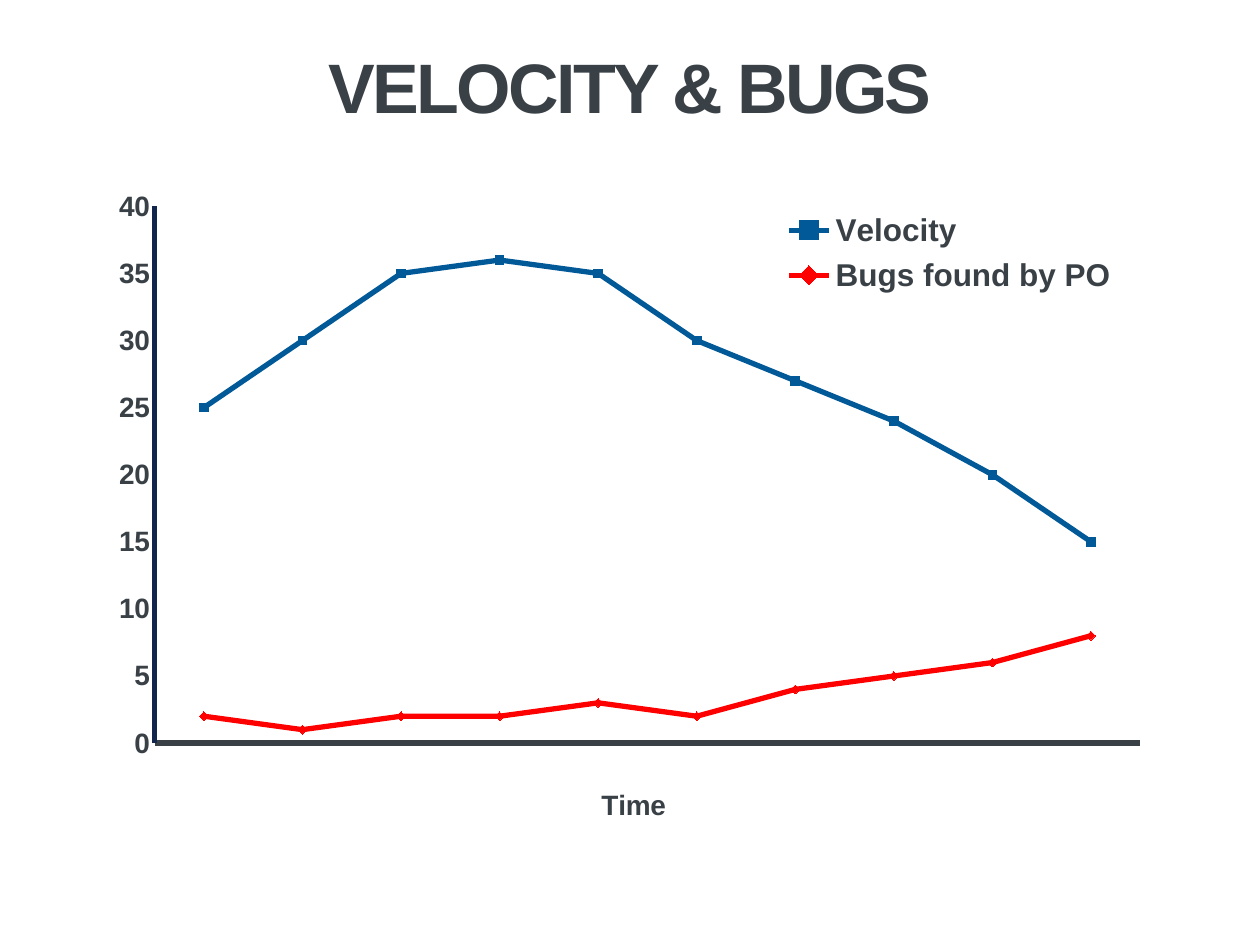
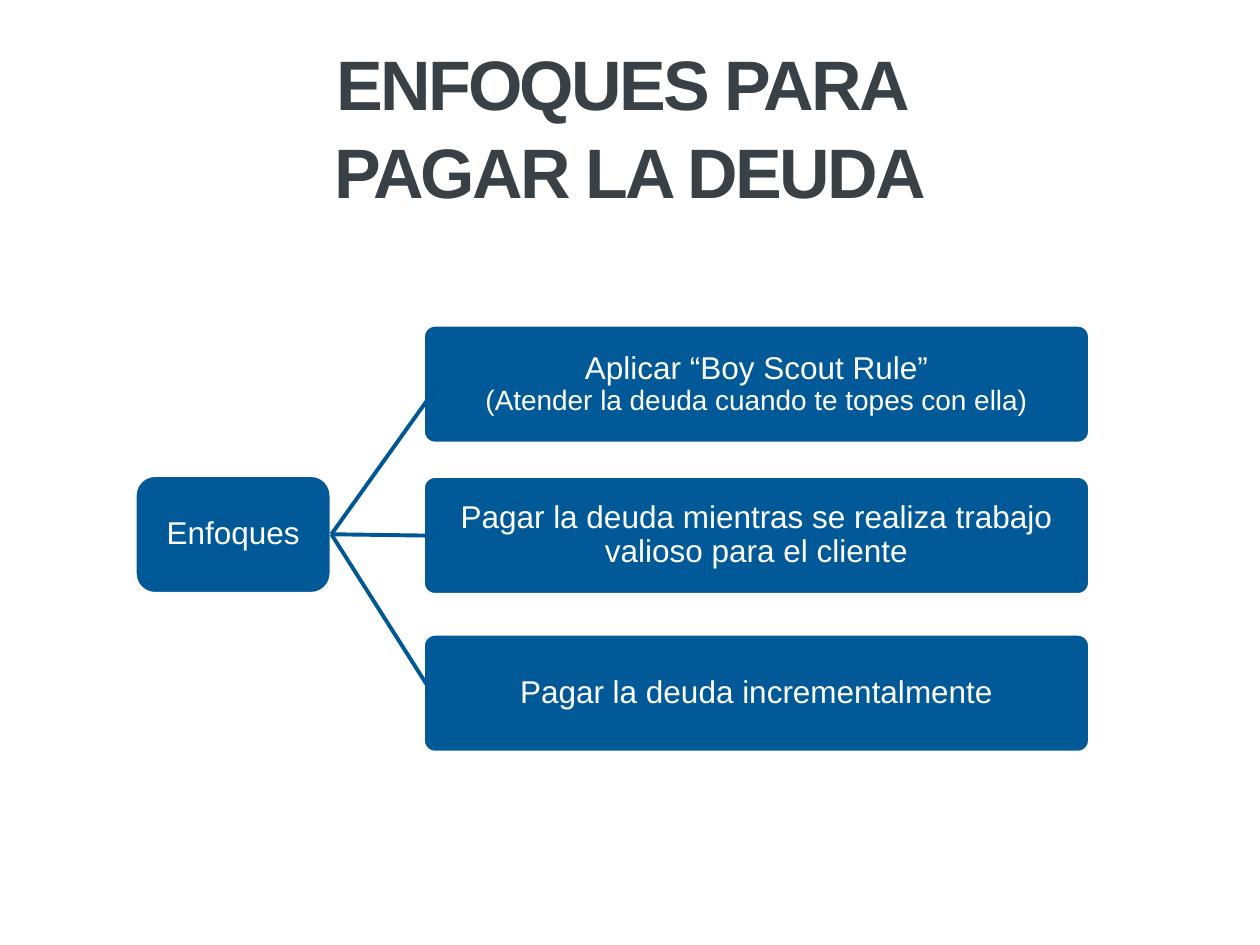
import pptx
import pptx.chart.data
import pptx.dml.color
import pptx.enum.chart
import pptx.enum.shapes
import pptx.enum.text
import pptx.oxml
import pptx.oxml.ns
import pptx.util
from lxml import etree

Cm = pptx.util.Cm
Pt = pptx.util.Pt
qn = pptx.oxml.ns.qn

COLORS = {
    "ink": "394147",
    "blue": "015998",
    "branch": "005796",
    "navy": "12254C",
    "red": "FF0000",
    "white": "FFFFFF",
}
FONT = "Arial"


def rgb(name):
    return pptx.dml.color.RGBColor.from_string(COLORS[name])


class Deck:
    def __init__(self):
        self.presentation = pptx.Presentation()
        self.presentation.slide_width = Cm(25.4)
        self.presentation.slide_height = Cm(19.05)
        self.slide = None

    def add_slide(self):
        self.slide = self.presentation.slides.add_slide(self.presentation.slide_layouts[6])

    def style_font(self, font, size, color, bold=False):
        font.name = FONT
        font.size = Pt(size)
        font.bold = bold
        font.color.rgb = rgb(color)

    def style_line(self, line, color, width):
        line.color.rgb = rgb(color)
        line.width = Pt(width)

    def fill_text(self, frame, text, sizes, color, bold=False, spacing=1.0):
        frame.word_wrap = True
        frame.vertical_anchor = pptx.enum.text.MSO_ANCHOR.MIDDLE
        paragraph = frame.paragraphs[0]
        paragraph.text = text
        paragraph.alignment = pptx.enum.text.PP_ALIGN.CENTER
        paragraph.line_spacing = spacing
        for run, size in zip(paragraph.runs, sizes):
            self.style_font(run.font, size, color, bold)
        return paragraph

    def title(self, text, top, height):
        heading = self.slide.shapes.add_textbox(Cm(1.27), Cm(top), Cm(22.86), Cm(height))
        paragraph = self.fill_text(heading.text_frame, text, (40, 40), "ink", True, 1.05)
        for run in paragraph.runs:
            run.font._element.set("spc", "-150")

    def box(self, text, left, top, width, height, inset, corner, sizes=(18, 18)):
        box = self.slide.shapes.add_shape(
            pptx.enum.shapes.MSO_SHAPE.ROUNDED_RECTANGLE,
            Cm(left), Cm(top), Cm(width), Cm(height))
        box.adjustments[0] = corner
        box.shadow.inherit = False
        box.fill.solid()
        box.fill.fore_color.rgb = rgb("blue")
        self.style_line(box.line, "white", 2)
        frame = box.text_frame
        frame.margin_left = frame.margin_right = Cm(inset)
        frame.margin_top = frame.margin_bottom = Cm(0.1)
        self.fill_text(frame, text, sizes, "white", spacing=0.9)

    def branch(self, start, end):
        branch = self.slide.shapes.add_connector(
            pptx.enum.shapes.MSO_CONNECTOR.STRAIGHT, *map(Cm, start + end))
        self.style_line(branch.line, "branch", 2.25)
        etree.SubElement(branch._element.spPr, qn("a:effectLst"))

    def place(self, part, index, inner=False, **fractions):
        for layout in part.findall(qn("c:layout")):
            part.remove(layout)
        layout = etree.Element(qn("c:layout"))
        manual = etree.SubElement(layout, qn("c:manualLayout"))
        if inner:
            etree.SubElement(manual, qn("c:layoutTarget")).set("val", "inner")
        for side in "xy":
            etree.SubElement(manual, qn(f"c:{side}Mode")).set("val", "edge")
        for key, value in fractions.items():
            etree.SubElement(manual, qn(f"c:{key}")).set("val", str(value))
        part.insert(index, layout)

    def line_chart(self, categories, series_styles, axis_title, left, top, width, height):
        enums = pptx.enum.chart
        data = pptx.chart.data.CategoryChartData()
        data.categories = categories
        for name, values, _, _ in series_styles:
            data.add_series(name, values)
        chart = self.slide.shapes.add_chart(
            enums.XL_CHART_TYPE.LINE_MARKERS,
            Cm(left), Cm(top), Cm(width), Cm(height), data).chart
        self.style_font(chart.font, 16, "ink")
        chart.has_title = False
        chart.plots[0].vary_by_categories = False

        for series, (_, _, color, marker) in zip(chart.plots[0].series, series_styles):
            series.smooth = False
            self.style_line(series.format.line, color, 3)
            series.marker.style = marker
            series.marker.size = 5
            series.marker.format.fill.solid()
            series.marker.format.fill.fore_color.rgb = rgb(color)
            series.marker.format.line.color.rgb = rgb(color)

        time_axis, count_axis = chart.category_axis, chart.value_axis
        for axis, color in ((time_axis, "ink"), (count_axis, "navy")):
            axis.has_major_gridlines = False
            axis.major_tick_mark = axis.minor_tick_mark = enums.XL_TICK_MARK.NONE
            self.style_line(axis.format.line, color, 3)
        time_axis.tick_label_position = enums.XL_TICK_LABEL_POSITION.NONE
        caption = time_axis.axis_title.text_frame
        caption.text = axis_title
        self.style_font(caption.paragraphs[0].runs[0].font, 16, "ink", True)
        count_axis.minimum_scale = 0
        count_axis.maximum_scale = 40
        count_axis.major_unit = 5
        self.style_font(count_axis.tick_labels.font, 16, "ink", True)

        chart.has_legend = True
        chart.legend.position = enums.XL_LEGEND_POSITION.RIGHT
        chart.legend.include_in_layout = True
        self.style_font(chart.legend.font, 18, "ink", True)

        plot_area = chart.element.find(".//" + qn("c:plotArea"))
        self.place(plot_area, 0, inner=True, x=0.053, y=0.045, w=0.926, h=0.81)
        self.place(chart.element.find(".//" + qn("c:legend")), 1, x=0.64, y=0.04, w=0.32, h=0.15)
        self.place(plot_area.find(".//" + qn("c:title")), 1, x=0.468, y=0.913)


def velocity_slide(deck):
    deck.add_slide()
    deck.title("VELOCITY & BUGS", 0.84, 1.7)
    markers = pptx.enum.chart.XL_MARKER_STYLE
    measures = [
        ("Velocity", (25, 30, 35, 36, 35, 30, 27, 24, 20, 15), "blue", markers.SQUARE),
        ("Bugs found by PO", (2, 1, 2, 2, 3, 2, 4, 5, 6, 8), "red", markers.DIAMOND),
    ]
    sprints = [str(number) for number in range(1, 11)]
    deck.line_chart(sprints, measures, "Time", 1.98, 3.56, 21.46, 13.36)


def approaches_slide(deck):
    deck.add_slide()
    deck.title("ENFOQUES PARA \vPAGAR LA DEUDA", 0.79, 3.45)
    deck.box("Enfoques", 2.72, 9.58, 3.96, 2.39, 0.2, 0.17)
    approaches = [
        ("Aplicar “Boy Scout Rule”\v(Atender la deuda cuando te topes con ella)",
         6.55, (18, 16), (8.84, 7.75)),
        ("Pagar la deuda mientras se realiza trabajo valioso para el cliente",
         9.6, (18,), (8.84, 10.8)),
        ("Pagar la deuda incrementalmente", 12.78, (18,), (8.71, 13.97)),
    ]
    for text, top, sizes, _ in approaches:
        deck.box(text, 8.53, top, 13.44, 2.39, 0.38, 0.1, sizes)
    for *_, end in approaches:
        deck.branch((6.68, 10.77), end)


def main():
    deck = Deck()
    velocity_slide(deck)
    approaches_slide(deck)
    deck.presentation.save("out.pptx")


if __name__ == "__main__":
    main()
